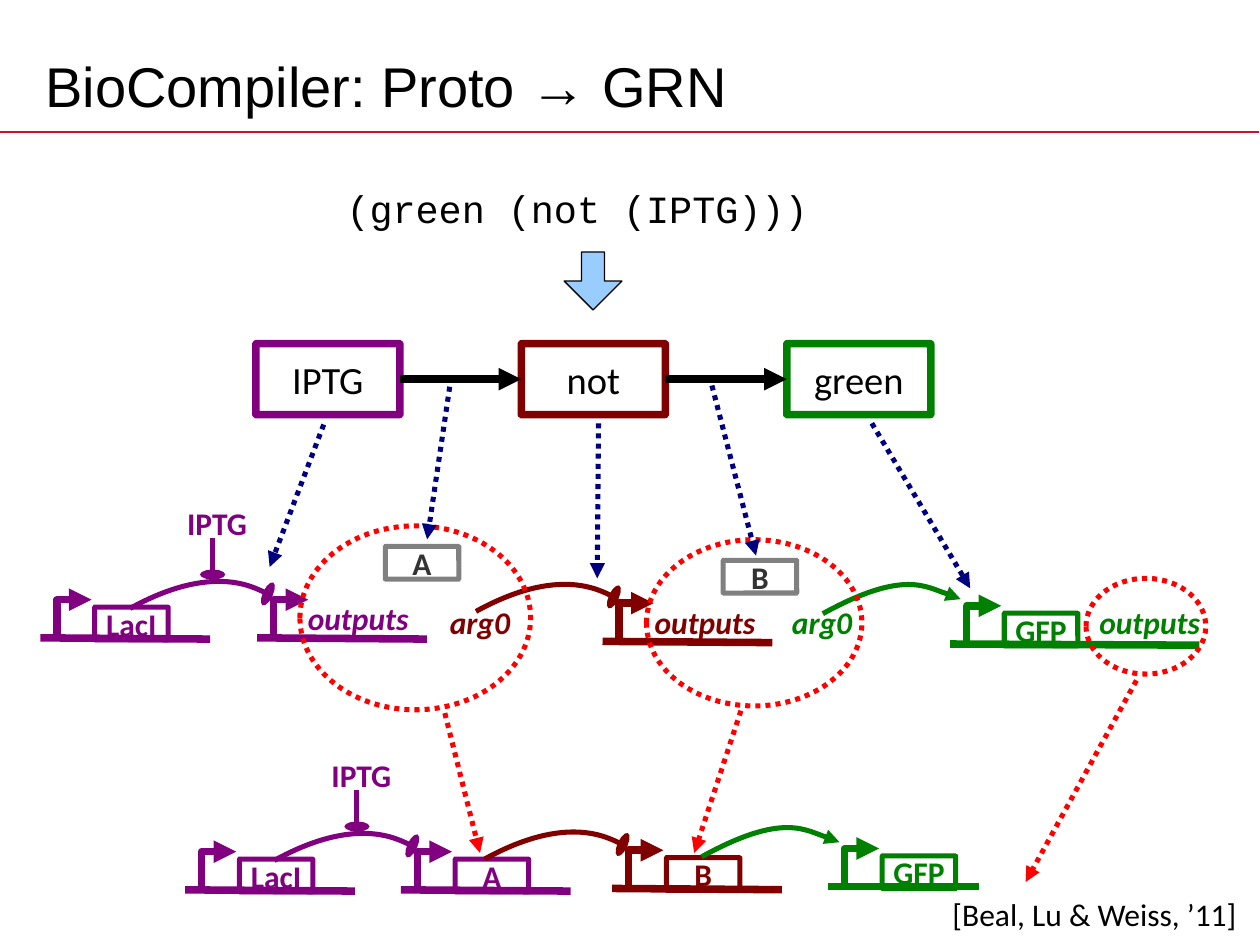
from dataclasses import dataclass
from typing import NamedTuple, Optional

from lxml.etree import SubElement
from pptx import Presentation
from pptx.dml.color import RGBColor as RGB
from pptx.enum.dml import MSO_LINE as Dash
from pptx.enum.shapes import MSO_CONNECTOR as Link, MSO_SHAPE as Preset
from pptx.enum.text import MSO_ANCHOR as Anchor, PP_ALIGN as Align
from pptx.oxml.ns import qn
from pptx.util import Pt


@dataclass(frozen=True)
class Theme:
    black: RGB = RGB(0, 0, 0)
    rule: RGB = RGB(0xCE, 0x11, 0x26)
    sky: RGB = RGB(0x99, 0xCC, 0xFF)
    purple: RGB = RGB(0x80, 0, 0x80)
    maroon: RGB = RGB(0x80, 0, 0)
    green: RGB = RGB(0, 0x80, 0)
    navy: RGB = RGB(0, 0, 0x80)
    red: RGB = RGB(0xFF, 0, 0)
    gray: RGB = RGB(0x80, 0x80, 0x80)
    dark: RGB = RGB(0x33, 0x33, 0x33)
    heading: str = "Arial"
    body: str = "Calibri"
    code: str = "Courier New"
    title_size: float = 32
    node_size: float = 22
    label_size: float = 18
    thick: float = 4.31
    thin: float = 2.89


T = Theme()


class Gene(NamedTuple):
    """A DNA strand with a promoter and, if named, a coding box."""
    left: float
    top: float
    color: RGB
    length: float = 97
    slope: float = 0.7
    name: Optional[str] = None


class Label(NamedTuple):
    text: str
    left: float
    top: float
    color: RGB
    width: float = 72.7
    italic: bool = True


class Arc(NamedTuple):
    left: float
    top: float
    color: RGB
    end: str = "oval"


class Arrow(NamedTuple):
    x1: float
    y1: float
    x2: float
    y2: float
    color: RGB


class Ring(NamedTuple):
    left: float
    top: float
    width: float
    height: float


def write(frame, text: str, size: float, color: RGB, font: str = T.body,
          align=Align.LEFT, bold: bool = False, italic: bool = False) -> None:
    para = frame.paragraphs[0]
    para.alignment = align
    span = para.add_run()
    span.text = text
    span.font.name, span.font.size = font, Pt(size)
    span.font.bold, span.font.italic = bold, italic
    span.font.color.rgb = color


def set_margins(frame, left: float = 0, top: float = 0, right: float = 0, bottom: float = 0) -> None:
    frame.margin_left, frame.margin_top = Pt(left), Pt(top)
    frame.margin_right, frame.margin_bottom = Pt(right), Pt(bottom)


def stroke(shape, color: RGB, width: float, end: Optional[str] = None, dotted: bool = False) -> None:
    shape.line.color.rgb = color
    shape.line.width = Pt(width)
    if dotted:
        shape.line.dash_style = Dash.ROUND_DOT
    if end:
        tail = SubElement(shape.line._get_or_add_ln(), qn("a:tailEnd"), type=end)
        if end == "oval":  # repression mark: wide and flat
            tail.set("w", "lg")
            tail.set("len", "sm")


def add_line(slide, x1: float, y1: float, x2: float, y2: float, color: RGB, width: float,
             end: Optional[str] = None, dotted: bool = False) -> None:
    line = slide.shapes.add_connector(Link.STRAIGHT, Pt(x1), Pt(y1), Pt(x2), Pt(y2))
    stroke(line, color, width, end, dotted)
    SubElement(line._element.spPr, qn("a:effectLst"))


def add_preset(slide, kind, left: float, top: float, width: float, height: float,
               color: RGB, weight: float, dotted: bool = False):
    shape = slide.shapes.add_shape(kind, Pt(left), Pt(top), Pt(width), Pt(height))
    shape.shadow.inherit = False
    shape.fill.background()
    stroke(shape, color, weight, dotted=dotted)
    return shape


def add_box(slide, text: str, left: float, top: float, width: float, height: float,
            color: RGB, ink: RGB, weight: float, size: float, bold: bool) -> None:
    box = add_preset(slide, Preset.ROUNDED_RECTANGLE, left, top, width, height, color, weight)
    box.adjustments[0] = 0.005
    set_margins(box.text_frame)
    box.text_frame.vertical_anchor = Anchor.MIDDLE
    write(box.text_frame, text, size, ink, align=Align.CENTER, bold=bold)


def add_protein(slide, name: str, left: float, top: float, color: RGB, ink: RGB) -> None:
    add_box(slide, name, left, top, 42, 18.7, color, ink, T.thin, T.label_size, True)


def add_text(slide, left: float, top: float, width: float, height: float, wrap: bool = True):
    frame = slide.shapes.add_textbox(Pt(left), Pt(top), Pt(width), Pt(height)).text_frame
    frame.word_wrap = wrap
    return frame


def add_outline(slide, points: list, color: RGB, width: float, end: str):
    (x, y), *rest = [(Pt(px), Pt(py)) for px, py in points]
    builder = slide.shapes.build_freeform(x, y)
    builder.add_line_segments(rest, close=False)
    shape = builder.convert_to_shape()
    shape.shadow.inherit = False
    shape.fill.background()
    stroke(shape, color, width, end)
    return shape


def add_gene(slide, gene: Gene) -> None:
    x, y = gene.left, gene.top
    add_line(slide, x, y, x + gene.length, y + gene.slope, gene.color, T.thick)
    promoter = [(x + 9.4, y - 1.8), (x + 9.4, y - 21.8), (x + 29.2, y - 21.8)]
    add_outline(slide, promoter, gene.color, T.thick, "triangle")
    if gene.name:
        add_protein(slide, gene.name, x + 31, y - 17.6, gene.color, gene.color)


def add_arc(slide, arc: Arc) -> None:
    x, y = arc.left, arc.top
    points = [(x, y), (x + 47, y - 25.9), (x + 78.8, y - 8.3), (x + 78.8, y - 8.3)]
    shape = add_outline(slide, points, arc.color, T.thin, arc.end)
    # Turn the three straight segments into one Bezier curve
    segments = list(shape._element.iter(qn("a:lnTo")))
    curve = SubElement(segments[0].getparent(), qn("a:cubicBezTo"))
    for segment in segments:
        curve.append(segment[0])
        segment.getparent().remove(segment)


def add_label(slide, label: Label) -> None:
    frame = add_text(slide, label.left, label.top, label.width, 24.5)
    set_margins(frame)
    write(frame, label.text, T.label_size, label.color, align=Align.CENTER, bold=True, italic=label.italic)


def add_inducer(slide, left: float, top: float) -> None:
    add_line(slide, left + 26.3, top + 19.5, left + 26.3, top + 40.3, T.purple, T.thin, "oval")
    add_label(slide, Label("IPTG", left, top, T.purple, 57.6, False))


def main() -> None:
    deck = Presentation()
    deck.slide_width, deck.slide_height = Pt(720), Pt(540)
    slide = deck.slides.add_slide(deck.slide_layouts[5])

    # Title and rule
    title = slide.shapes.title
    title.left, title.top, title.width, title.height = Pt(18.7), Pt(21.6), Pt(648), Pt(54)
    title.text_frame.vertical_anchor = Anchor.MIDDLE
    write(title.text_frame, "BioCompiler: Proto → GRN", T.title_size, T.black, T.heading)
    add_line(slide, 0, 75.6, 719.5, 75.6, T.rule, 1)

    # Source expression
    code = add_text(slide, 191.5, 103, 282.2, 28.1)
    set_margins(code, 6.5, 7.2, 6.5, 2.9)
    write(code, "(green (not (IPTG)))", T.node_size, T.black, T.code)
    code.paragraphs[0].line_spacing = 0.83
    down = add_preset(slide, Preset.DOWN_ARROW, 322.4, 144, 33, 33.1, T.black, 0.75)
    down.adjustments[0], down.adjustments[1] = 0.4, 0.5
    down.fill.solid()
    down.fill.fore_color.rgb = T.sky

    # Dataflow nodes, evenly spaced, with arrows across the gaps
    first, step, width = 146.2, 151.7, 82.3
    nodes = [("IPTG", T.purple), ("not", T.maroon), ("green", T.green)]
    for index, (name, color) in enumerate(nodes):
        left = first + index * step
        add_box(slide, name, left, 196.4, width, 40.5, color, T.black, T.thick, T.node_size, False)
        if index:
            add_line(slide, left - step + width, 216.7, left, 216.7, T.black, T.thick, "triangle")

    # Genes: separate fragments above, the joined network below
    for gene in [
        Gene(23.1, 364.5, T.purple, name="LacI"), Gene(146.9, 364.5, T.purple),
        Gene(344.3, 366.5, T.maroon), Gene(542.9, 368, T.green, 142.5, name="GFP"),
        Gene(105.8, 508.5, T.purple, name="LacI"), Gene(229.1, 508.5, T.purple, name="A"),
        Gene(349.8, 507.7, T.maroon, name="B"), Gene(473.1, 506.7, T.green, 86.2, 0, "GFP"),
    ]:
        add_gene(slide, gene)
    for arc in [
        Arc(74.3, 347.7, T.purple), Arc(272, 349.4, T.maroon), Arc(470.2, 350.7, T.green, "triangle"),
        Arc(156.8, 491.7, T.purple), Arc(277, 490.9, T.maroon), Arc(401, 489.6, T.green, "triangle"),
    ]:
        add_arc(slide, arc)
    add_protein(slide, "A", 220.2, 312.3, T.gray, T.dark)
    add_protein(slide, "B", 413.3, 320.2, T.gray, T.dark)
    add_inducer(slide, 95.2, 288)
    add_inducer(slide, 177.7, 432)
    for label in [
        Label("outputs", 168.3, 342.2, T.purple), Label("arg0", 237.9, 344.7, T.maroon),
        Label("outputs", 366.5, 344.7, T.maroon), Label("arg0", 433.4, 344.7, T.green),
        Label("outputs", 620.6, 344.5, T.green),
    ]:
        add_label(slide, label)

    # Mapping from nodes to fragments, and from fragments to the network
    for ring in [Ring(171.4, 300.5, 131.8, 105.1), Ring(369.4, 308.4, 123.1, 95),
                 Ring(620.6, 330.5, 68.4, 54.7)]:
        add_preset(slide, Preset.OVAL, *ring, T.red, T.thin, dotted=True)
    for arrow in [
        Arrow(185, 242.6, 154.1, 324, T.navy), Arrow(257, 221, 244.1, 308.2, T.navy),
        Arrow(342, 241.9, 341.3, 330.5, T.navy), Arrow(406.8, 220.3, 432, 317.5, T.navy),
        Arrow(498.2, 241.9, 554.4, 336.2, T.navy), Arrow(254.2, 407.5, 274.3, 487.4, T.red),
        Arrow(423.4, 406.1, 396.7, 487.4, T.red), Arrow(649.4, 388.8, 586.1, 504, T.red),
    ]:
        add_line(slide, *arrow, T.thin, "triangle", dotted=True)

    # Citation
    citation = add_text(slide, 537.8, 506.9, 178, 24.5, wrap=False)
    set_margins(citation, 6.5, 4.3, 0, 2.9)
    write(citation, "[Beal, Lu & Weiss, ’11]", T.label_size, T.black)

    deck.save("out.pptx")


if __name__ == "__main__":
    main()
